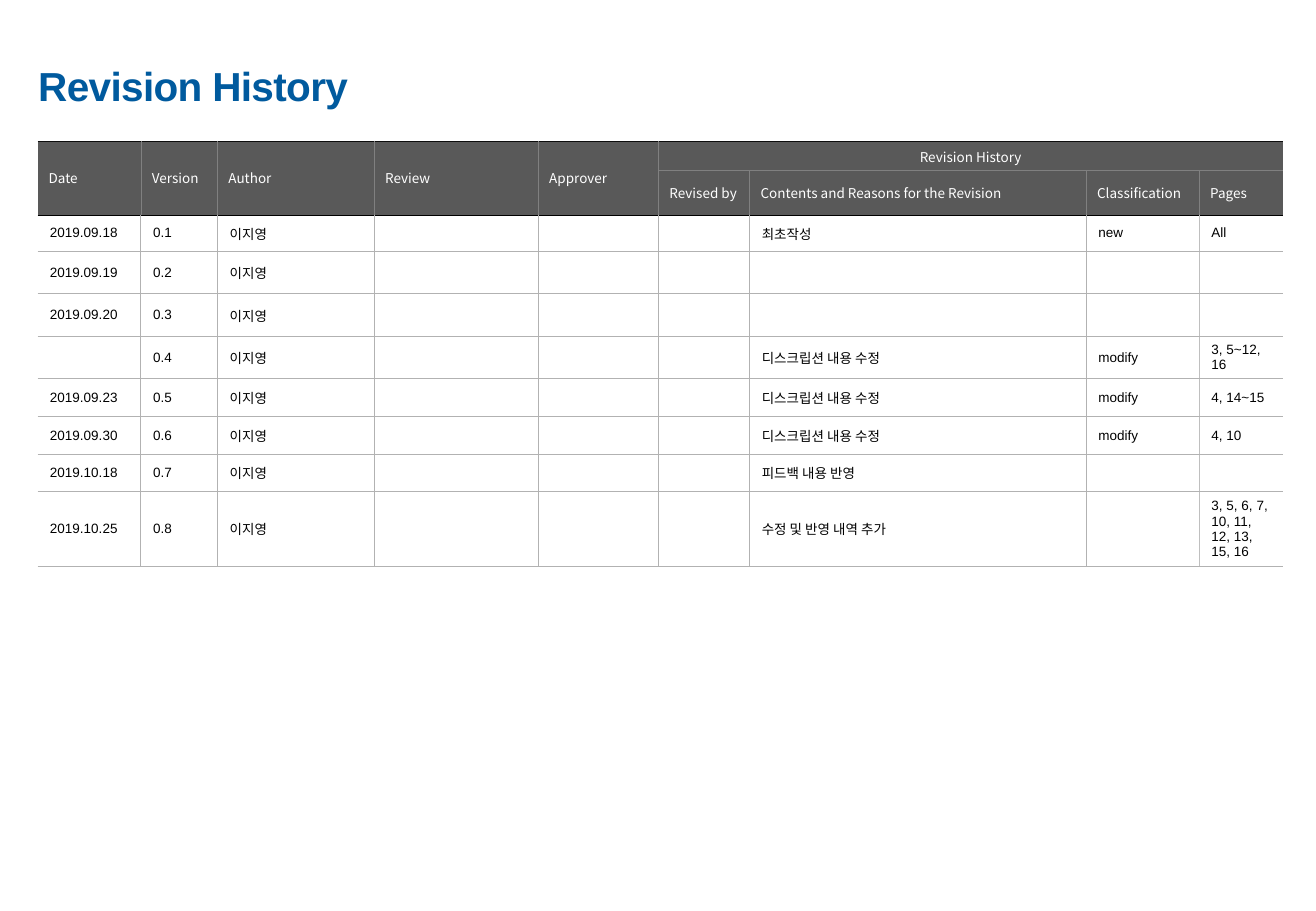
from lxml.etree import SubElement
from pptx import Presentation
from pptx.dml.color import RGBColor
from pptx.enum.text import MSO_ANCHOR as Anchor, PP_ALIGN as Align
from pptx.oxml.ns import qn
from pptx.util import Inches, Pt

BLUE = RGBColor(0x00, 0x5A, 0x9E)
WHITE = RGBColor(0xFF, 0xFF, 0xFF)
BLACK = RGBColor(0x00, 0x00, 0x00)
HEADER_FILL = RGBColor(0x59, 0x59, 0x59)
HEADER_TOP = RGBColor(0x0D, 0x0D, 0x0D)
HEADER_GRID = RGBColor(0x80, 0x80, 0x80)
BODY_GRID = RGBColor(0xB2, 0xB2, 0xB2)
PAGES_GRID = RGBColor(0xBF, 0xBF, 0xBF)

GRID = Inches(0.01)
COLUMNS = [85, 63, 129, 135, 99, 75, 277, 93, 69]
ROWS = [24, 37, 30, 35, 35, 35, 31, 31, 31, 61]
HEADER_ROWS = 2
GROUP_START = 5
LAST_EDGE = len(COLUMNS)

AUTHOR = "이지영"
EDITED = "디스크립션 내용 수정"
HEADER = [
    ["Date", "Version", "Author", "Review", "Approver", "Revision History", "", "", ""],
    ["", "", "", "", "", "Revised by", "Contents and Reasons for the Revision",
     "Classification", "Pages"],
]
REVISIONS = [
    ("2019.09.18", "0.1", "최초작성", "new", "All"),
    ("2019.09.19", "0.2", "", "", ""),
    ("2019.09.20", "0.3", "", "", ""),
    ("", "0.4", EDITED, "modify", "3, 5~12, 16"),
    ("2019.09.23", "0.5", EDITED, "modify", "4, 14~15"),
    ("2019.09.30", "0.6", EDITED, "modify", "4, 10"),
    ("2019.10.18", "0.7", "피드백 내용 반영", "", ""),
    ("2019.10.25", "0.8", "수정 및 반영 내역 추가", "", "3, 5, 6, 7, 10, 11, 12, 13, 15, 16"),
]


def write_text(frame, text, font="Arial", size=8, color=BLACK, bold=False,
               align=Align.LEFT, before=0, tracking=0):
    paragraph = frame.paragraphs[0]
    paragraph.alignment = align
    paragraph.space_before = Pt(before)
    if not text:
        SubElement(paragraph._p, qn("a:endParaRPr"), sz=str(size * 100))
        return
    run = paragraph.add_run()
    run.text = text
    run.font.name = font
    run.font.size = Pt(size)
    run.font.bold = bold
    run.font.color.rgb = color
    if tracking:
        run.font._element.set("spc", str(tracking))


def add_title(slide, width, height):
    frame = slide.shapes.add_textbox(
        int(0.02 * width), int(0.06 * height), int(0.37 * width), int(0.07 * height)
    ).text_frame
    frame.word_wrap = True
    write_text(frame, "Revision History", size=24, color=BLUE, bold=True, tracking=-40)


def row_line(edge):
    if edge > HEADER_ROWS:
        return BODY_GRID, 0.75
    return [HEADER_TOP, HEADER_GRID, BLACK][edge], 0.25


def column_line(edge, is_header):
    if edge in (0, LAST_EDGE):
        return None
    if is_header:
        return HEADER_GRID, 0.25
    return (PAGES_GRID, 0.25) if edge == LAST_EDGE - 1 else (BODY_GRID, 0.75)


def draw_border(cell, side, line):
    color, points = line or (None, 0)
    border = SubElement(cell._tc.get_or_add_tcPr(), qn(f"a:ln{side}"), w=str(Pt(points)))
    if color is None:
        SubElement(border, qn("a:noFill"))
    else:
        SubElement(SubElement(border, qn("a:solidFill")), qn("a:srgbClr"), val=str(color))


def draw_borders(cell, row, column):
    is_header = row < HEADER_ROWS
    left, right, top, bottom = column, column + 1, row, row + 1
    if is_header and column < GROUP_START:
        top, bottom = 0, HEADER_ROWS
    elif row == 0:
        left, right = GROUP_START, LAST_EDGE
    draw_border(cell, "L", column_line(left, is_header))
    draw_border(cell, "R", column_line(right, is_header))
    draw_border(cell, "T", row_line(top))
    draw_border(cell, "B", row_line(bottom))


def fill_cell(cell, text, row, column):
    is_header = row < HEADER_ROWS
    draw_borders(cell, row, column)
    cell.vertical_anchor = Anchor.MIDDLE
    cell.margin_left = cell.margin_right = GRID * (9 if is_header else 10)
    cell.margin_top = cell.margin_bottom = GRID * (5 if is_header else 4)
    if is_header:
        cell.fill.solid()
        cell.fill.fore_color.rgb = HEADER_FILL
        is_group = row == 0 and column == GROUP_START
        write_text(cell.text_frame, text, font="Noto Sans CJK KR", color=WHITE,
                   align=Align.CENTER if is_group else Align.LEFT, before=1.6)
    else:
        cell.fill.background()
        write_text(cell.text_frame, text, before=1.6)


def add_history(slide):
    history = slide.shapes.add_table(
        len(ROWS), len(COLUMNS), GRID * 31, GRID * 116, GRID * sum(COLUMNS), GRID * sum(ROWS)
    ).table
    history.first_row = history.horz_banding = False
    for column, width in zip(history.columns, COLUMNS):
        column.width = GRID * width
    for row, height in zip(history.rows, ROWS):
        row.height = GRID * height
    for column in range(GROUP_START):
        history.cell(0, column).merge(history.cell(1, column))
    history.cell(0, GROUP_START).merge(history.cell(0, LAST_EDGE - 1))

    body = [[date, version, AUTHOR, "", "", "", contents, kind, pages]
            for date, version, contents, kind, pages in REVISIONS]
    for row, texts in enumerate(HEADER + body):
        for column, text in enumerate(texts):
            fill_cell(history.cell(row, column), text, row, column)


def main():
    deck = Presentation()
    deck.slide_width = Inches(10.83)
    deck.slide_height = Inches(7.5)
    slide = deck.slides.add_slide(deck.slide_layouts[6])
    add_title(slide, deck.slide_width, deck.slide_height)
    add_history(slide)
    deck.save("out.pptx")


if __name__ == "__main__":
    main()
